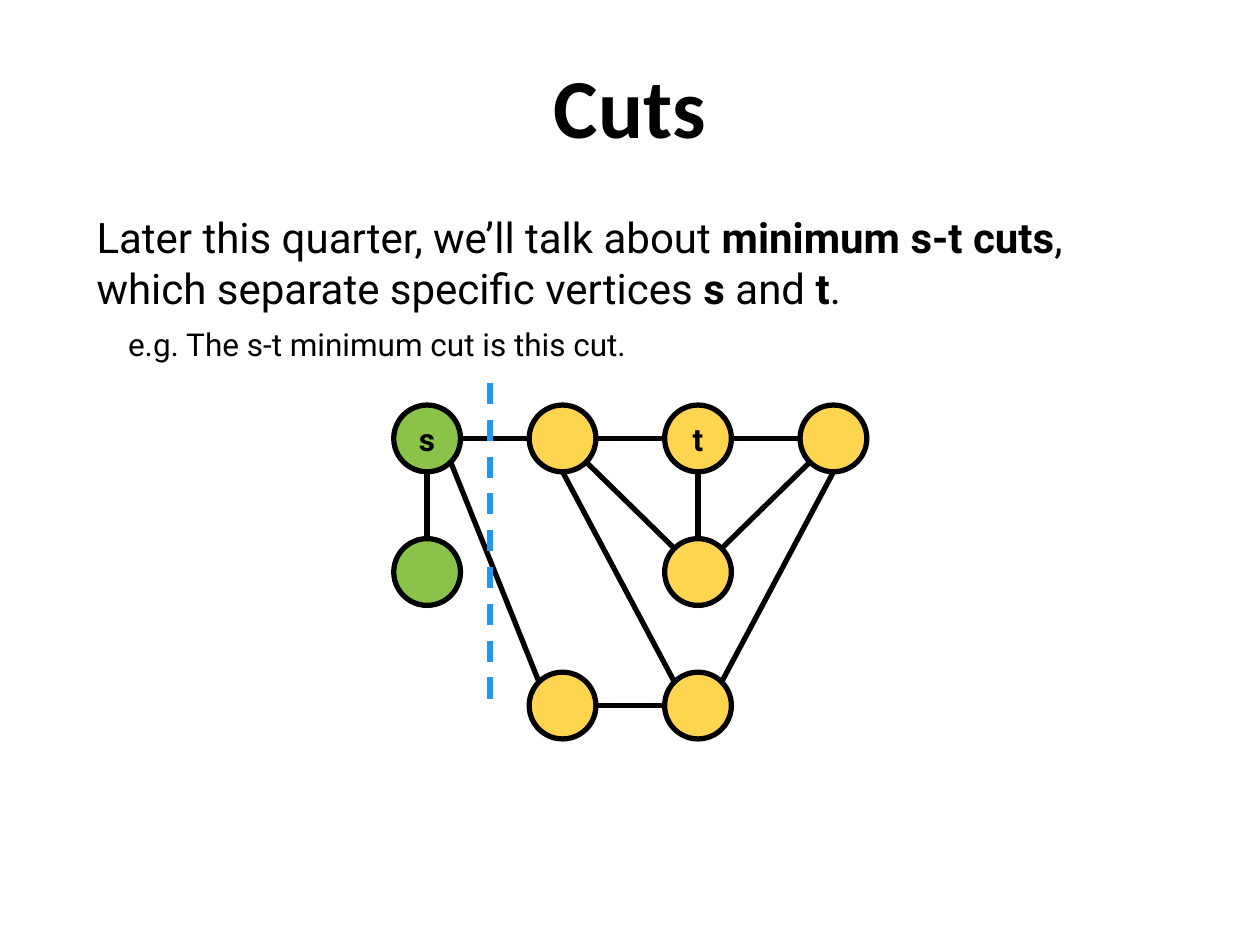
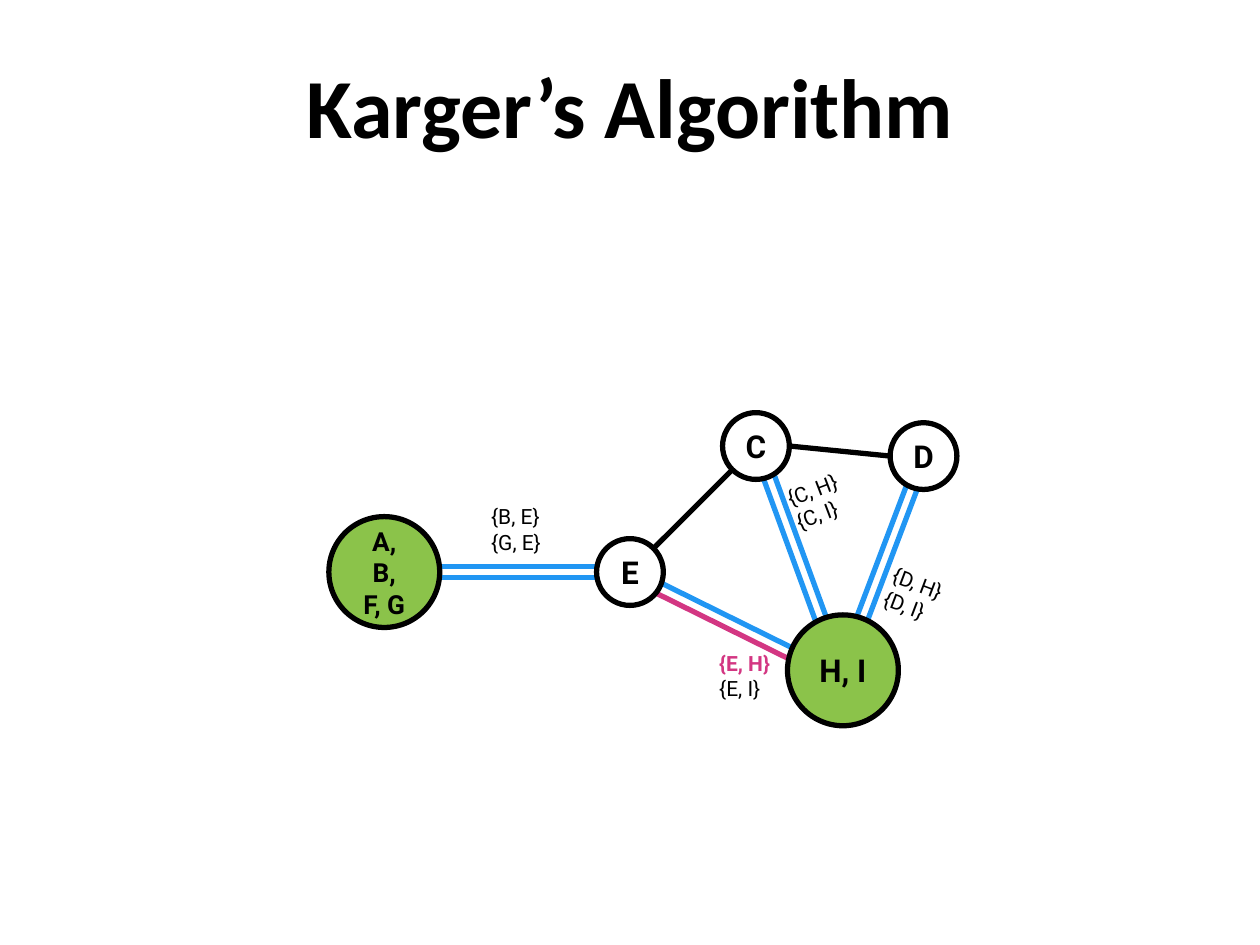
import math
import pptx
import pptx.dml.color
import pptx.enum.dml
import pptx.enum.shapes
import pptx.enum.text
import pptx.oxml.ns
import pptx.util
from lxml import etree

WIDE, HIGH = 10, 7.5
MARGIN = WIDE / 15
HEAD_TOP, HEAD_END = 0.33, 1.58
COLORS = {
    "black": "000000", "white": "FFFFFF", "green": "8BC34A",
    "yellow": "FFD54F", "blue": "2196F3", "pink": "D33682",
}
SMALL, LARGE = 0.53, 0.88    # node diameters
GAP = 0.09                   # between the two lines of a double edge
DIAG = math.sqrt(0.5)
SIDES = {
    "N": (0, -1), "NE": (DIAG, -DIAG), "E": (1, 0), "SE": (DIAG, DIAG),
    "S": (0, 1), "SW": (-DIAG, DIAG), "W": (-1, 0), "NW": (-DIAG, -DIAG),
}
ANCHOR = pptx.enum.text.MSO_ANCHOR
ALIGN = pptx.enum.text.PP_ALIGN


def color(name):
    return pptx.dml.color.RGBColor.from_string(COLORS[name])


def inches(*values):
    return [pptx.util.Inches(value) for value in values]


def style(font, size, name="Roboto", bold=None, hue="black"):
    font.size = pptx.util.Pt(size)
    font.name = name
    font.bold = bold
    font.color.rgb = color(hue)


def set_frame(frame, anchor=ANCHOR.TOP):
    """Wrap the text inside equal margins."""
    frame.word_wrap = True
    frame.auto_size = pptx.enum.text.MSO_AUTO_SIZE.NONE
    frame.vertical_anchor = anchor
    frame.margin_left = frame.margin_right = pptx.util.Inches(0.1)
    frame.margin_top = frame.margin_bottom = pptx.util.Inches(0.1)


def move(shape, left, top, width, height):
    shape.left, shape.top, shape.width, shape.height = inches(
        left, top, width, height)


def add_slide(deck, layout, title):
    slide = deck.slides.add_slide(deck.slide_layouts[layout])
    head = slide.shapes.title
    move(head, 0, HEAD_TOP, WIDE, HEAD_END - HEAD_TOP)
    set_frame(head.text_frame)
    head.text_frame.text = title
    para = head.text_frame.paragraphs[0]
    para.alignment = ALIGN.CENTER
    style(para.font, 48, "Calibri", True)
    return slide


def fill_body(slide, items):
    """Write (size, indent, space before, runs); every second run is bold."""
    body = slide.placeholders[1]
    move(body, MARGIN, HEAD_END, WIDE - 2 * MARGIN, HIGH - HEAD_END)
    frame = body.text_frame
    set_frame(frame)
    for i, (size, indent, space, runs) in enumerate(items):
        para = frame.add_paragraph() if i else frame.paragraphs[0]
        props = para._p.get_or_add_pPr()
        props.set("marL", str(pptx.util.Inches(indent)))
        props.set("indent", "0")
        etree.SubElement(props, pptx.oxml.ns.qn("a:buNone"))
        para.space_before = pptx.util.Pt(space)
        style(para.font, size)
        for k, words in enumerate(runs):
            run = para.add_run()
            run.text = words
            if k % 2:
                run.font.bold = True


def add_line(slide, start, end, hue="black", dash=False):
    line = slide.shapes.add_connector(
        pptx.enum.shapes.MSO_CONNECTOR.STRAIGHT, *inches(*start, *end))
    line.line.width = pptx.util.Pt(3)
    line.line.color.rgb = color(hue)
    if dash:
        line.line.dash_style = pptx.enum.dml.MSO_LINE.DASH
    etree.SubElement(line._element.spPr, pptx.oxml.ns.qn("a:effectLst"))


def add_pair(slide, start, end, hues=("blue", "blue")):
    """Draw two parallel lines, one on each side of an axis."""
    dx, dy = end[0] - start[0], end[1] - start[1]
    scale = GAP / 2 / math.hypot(dx, dy)
    for sign, hue in zip((-1, 1), hues):
        ox, oy = -sign * dy * scale, sign * dx * scale
        add_line(slide, (start[0] + ox, start[1] + oy),
                 (end[0] + ox, end[1] + oy), hue)


def rim(center, side):
    """Find the point of a small node's outline on a compass side."""
    return [c + d * SMALL / 2 for c, d in zip(center, SIDES[side])]


def add_edge(slide, nodes, tail, out, head, into):
    add_line(slide, rim(nodes[tail], out), rim(nodes[head], into))


def add_node(slide, center, hue, lines=(), diam=SMALL, size=18):
    x, y = center
    node = slide.shapes.add_shape(
        pptx.enum.shapes.MSO_SHAPE.OVAL,
        *inches(x - diam / 2, y - diam / 2, diam, diam))
    node.shadow.inherit = False
    node.fill.solid()
    node.fill.fore_color.rgb = color(hue)
    node.line.color.rgb = color("black")
    node.line.width = pptx.util.Pt(3)
    if lines:
        set_frame(node.text_frame, ANCHOR.MIDDLE)
        node.text_frame.text = "\n".join(lines)
        for para in node.text_frame.paragraphs:
            para.alignment = ALIGN.CENTER
            style(para.font, size, bold=True)


def add_label(slide, left, top, lines, turn=0, mark=None):
    """Name the edges of a pair; the line equal to mark is picked out."""
    box = slide.shapes.add_textbox(*inches(left, top, 0.66, 0.63))
    box.rotation = turn
    set_frame(box.text_frame)
    box.text_frame.text = "\n".join(lines)
    for para in box.text_frame.paragraphs:
        chosen = para.text == mark
        style(para.font, 12, bold=chosen, hue="pink" if chosen else "black")


def cuts(deck):
    slide = add_slide(deck, 1, "Cuts")
    fill_body(slide, [
        (24, 0, 0, ["Later this quarter, we’ll talk about ",
                    "minimum s-t cuts", ", which separate specific vertices ",
                    "s", " and ", "t", "."]),
        (18, 0.25, 7, ["e.g. The s-t minimum cut is this cut."]),
    ])
    cells = {"s": (0, 0), "a": (1, 0), "t": (2, 0), "b": (3, 0),
             "c": (0, 1), "d": (2, 1), "e": (1, 2), "f": (2, 2)}
    nodes = {name: (3.39 + 1.075 * col, 3.48 + 1.06 * row)
             for name, (col, row) in cells.items()}
    for edge in ("s E a W", "s S c N", "a E t W", "d NE b SW", "f NE b S",
                 "s SE e NW", "e E f W", "t S d N", "a S f NW", "a SE d NW",
                 "t E b W"):
        add_edge(slide, nodes, *edge.split())
    for name, center in nodes.items():
        add_node(slide, center, "green" if name in "sc" else "yellow",
                 [name] if name in "st" else ())
    add_line(slide, (3.89, 3.04), (3.89, 5.63), "blue", dash=True)


def karger(deck):
    slide = add_slide(deck, 5, "Karger’s Algorithm")
    nodes = {"E": (5, 4.54), "C": (6, 3.54), "D": (7.33, 3.62)}
    add_pair(slide, (4.97, 4.54), (6.93, 5.51), ("blue", "pink"))
    add_pair(slide, (3.12, 4.54), (5.08, 4.54))
    add_pair(slide, (6.71, 5.26), (7.32, 3.65))
    add_pair(slide, (6.73, 5.5), (5.98, 3.45))
    add_edge(slide, nodes, "E", "NE", "C", "SW")
    add_edge(slide, nodes, "C", "E", "D", "W")
    for name, center in nodes.items():
        add_node(slide, center, "white", [name])
    add_node(slide, (3.05, 4.54), "green", ["A, B,", "F, G"], LARGE, 15)
    add_node(slide, (6.69, 5.32), "green", ["H, I"], LARGE)
    add_label(slide, 6.94, 4.43, ["{D, H}", "{D, I}"], 20.9)
    add_label(slide, 6.18, 3.67, ["{C, H}", "{C, I}"], 339.2)
    add_label(slide, 3.8, 3.9, ["{B, E}", "{G, E}"])
    add_label(slide, 5.61, 5.06, ["{E, H}", "{E, I}"], mark="{E, H}")


def main():
    deck = pptx.Presentation()
    deck.slide_width, deck.slide_height = inches(WIDE, HIGH)
    cuts(deck)
    karger(deck)
    deck.save("out.pptx")


if __name__ == "__main__":
    main()
